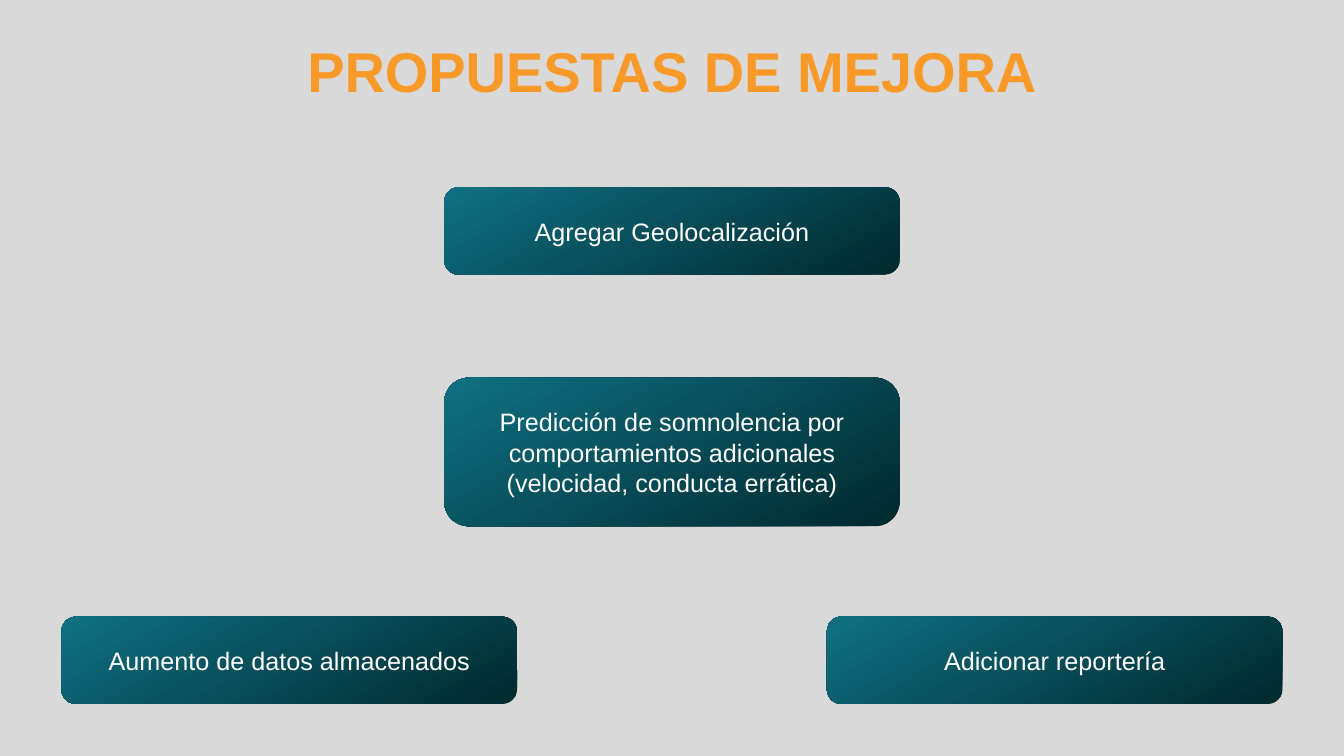
import dataclasses

import pptx
import pptx.dml.color
import pptx.enum.shapes
import pptx.enum.text
import pptx.util

Cm = pptx.util.Cm


@dataclasses.dataclass(frozen=True)
class Theme:
    font: str = "Arial"
    title_size: int = 40
    card_size: int = 18
    background: str = "D9D9D9"
    title: str = "F99927"
    card_text: str = "FFFFFF"
    card_dark: str = "00292E"
    card_light: str = "107082"


theme = Theme()


def rgb(value):
    return pptx.dml.color.RGBColor.from_string(value)


def write(sp, text, size, color, bold=False):
    tf = sp.text_frame
    tf.word_wrap = True
    tf.auto_size = pptx.enum.text.MSO_AUTO_SIZE.NONE
    tf.vertical_anchor = pptx.enum.text.MSO_ANCHOR.MIDDLE
    p = tf.paragraphs[0]
    p.alignment = pptx.enum.text.PP_ALIGN.CENTER
    r = p.add_run()
    r.text = text
    r.font.name = theme.font
    r.font.size = pptx.util.Pt(size)
    r.font.bold = bold
    r.font.color.rgb = rgb(color)


slide_w, slide_h = 33.87, 19.05
prs = pptx.Presentation()
prs.slide_width = Cm(slide_w)
prs.slide_height = Cm(slide_h)
s = prs.slides.add_slide(prs.slide_layouts[5])
s.background.fill.solid()
s.background.fill.fore_color.rgb = rgb(theme.background)

title = s.shapes.title
title.left, title.top = Cm(0), Cm(0.86)
title.width, title.height = Cm(slide_w), Cm(1.8)
write(title, "PROPUESTAS DE MEJORA", theme.title_size, theme.title, bold=True)

card_w, margin = 11.48, 1.55
left = margin
center = (slide_w - card_w) / 2
right = slide_w - margin - card_w

cards = [
    ("Agregar Geolocalización", center, 4.72, 2.2),
    ("Aumento de datos almacenados", left, 15.54, 2.2),
    ("Predicción de somnolencia por comportamientos adicionales "
     "(velocidad, conducta errática)", center, 9.52, 3.74),
    ("Adicionar reportería", right, 15.54, 2.2),
]

for text, x, y, height in cards:
    sp = s.shapes.add_shape(pptx.enum.shapes.MSO_SHAPE.ROUNDED_RECTANGLE,
                            Cm(x), Cm(y), Cm(card_w), Cm(height))
    sp.shadow.inherit = False
    sp.line.fill.background()
    sp.fill.gradient()
    sp.fill.gradient_angle = 120
    for stop, color in zip(sp.fill.gradient_stops, (theme.card_dark, theme.card_light)):
        stop.color.rgb = rgb(color)
    write(sp, text, theme.card_size, theme.card_text)

prs.save("out.pptx")
